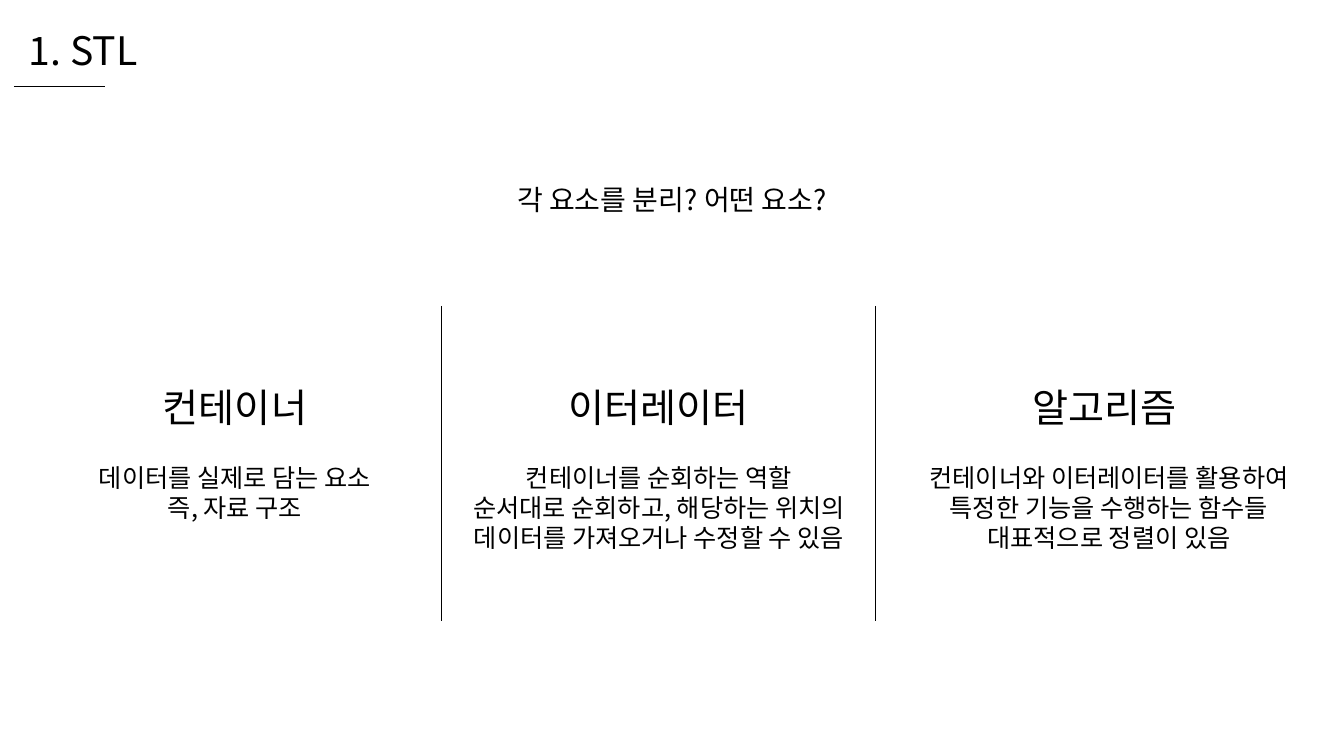
from dataclasses import dataclass

from lxml import etree
from pptx import Presentation
from pptx import util as u
from pptx.dml.color import RGBColor
from pptx.enum import shapes, text
from pptx.oxml import ns

TITLE = "1. STL"
QUESTION = "각 요소를 분리? 어떤 요소?"
COLUMNS = [
    {"center": 235, "heading": "컨테이너", "heading_width": 169, "body_width": 304,
     "body": ["데이터를 실제로 담는 요소", "즉, 자료 구조"]},
    {"center": 659, "heading": "이터레이터", "heading_width": 207, "body_width": 413,
     "body": ["컨테이너를 순회하는 역할", "순서대로 순회하고, 해당하는 위치의",
              "데이터를 가져오거나 수정할 수 있음"]},
    {"center": 1109, "heading": "알고리즘 ", "heading_width": 180, "body_width": 392,
     "body": ["컨테이너와 이터레이터를 활용하여", "특정한 기능을 수행하는 함수들",
              "대표적으로 정렬이 있음"]},
]
RULES = [(14, 86, 105, 86), (441, 306, 441, 621), (875, 306, 875, 621)]


@dataclass(frozen=True)
class Theme:
    font: str = "Noto Sans CJK KR"
    ink: RGBColor = RGBColor(0, 0, 0)
    paper: RGBColor = RGBColor(255, 255, 255)
    heading: int = 28
    question: int = 20
    body: int = 18
    rule: float = 0.5


THEME = Theme()
SCALE = 914400 / 100.8
HEADING_TOP, HEADING_HEIGHT = 378, 57
BODY_TOP, BODY_LINE, BODY_PADDING = 457, 30, 11


def px(length):
    return u.Emu(round(length * SCALE))


def add_text(slide, box, lines, size, align=text.PP_ALIGN.CENTER, spacing=None):
    frame = slide.shapes.add_textbox(*map(px, box)).text_frame
    frame.word_wrap = False
    frame.auto_size = text.MSO_AUTO_SIZE.SHAPE_TO_FIT_TEXT
    frame.text = "\n".join(lines)
    for paragraph in frame.paragraphs:
        paragraph.alignment = align
        paragraph.line_spacing = spacing
        for run in paragraph.runs:
            run.font.name = THEME.font
            run.font.size = u.Pt(size)
            run.font.color.rgb = THEME.ink
            east_asian = etree.SubElement(run.font._element, ns.qn("a:ea"))
            east_asian.set("typeface", THEME.font)


def add_rule(slide, ends):
    connector = slide.shapes.add_connector(shapes.MSO_CONNECTOR.STRAIGHT, *map(px, ends))
    connector.line.color.rgb = THEME.ink
    connector.line.width = u.Pt(THEME.rule)
    etree.SubElement(connector._element.spPr, ns.qn("a:effectLst"))


def main():
    presentation = Presentation()
    presentation.slide_width, presentation.slide_height = px(1344), px(756)
    slide = presentation.slides.add_slide(presentation.slide_layouts[6])
    slide.background.fill.solid()
    slide.background.fill.fore_color.rgb = THEME.paper

    add_text(slide, (19, 21, 130, 57), [TITLE], THEME.heading, text.PP_ALIGN.LEFT)
    add_text(slide, (498, 161, 348, 55), [QUESTION], THEME.question, spacing=1.5)
    for ends in RULES:
        add_rule(slide, ends)
    for column in COLUMNS:
        center, body = column["center"], column["body"]
        width = column["heading_width"]
        add_text(slide, (center - width / 2, HEADING_TOP, width, HEADING_HEIGHT),
                 [column["heading"]], THEME.heading)
        width = column["body_width"]
        height = BODY_LINE * len(body) + BODY_PADDING
        add_text(slide, (center - width / 2, BODY_TOP, width, height), body, THEME.body)

    presentation.save("out.pptx")


if __name__ == "__main__":
    main()
